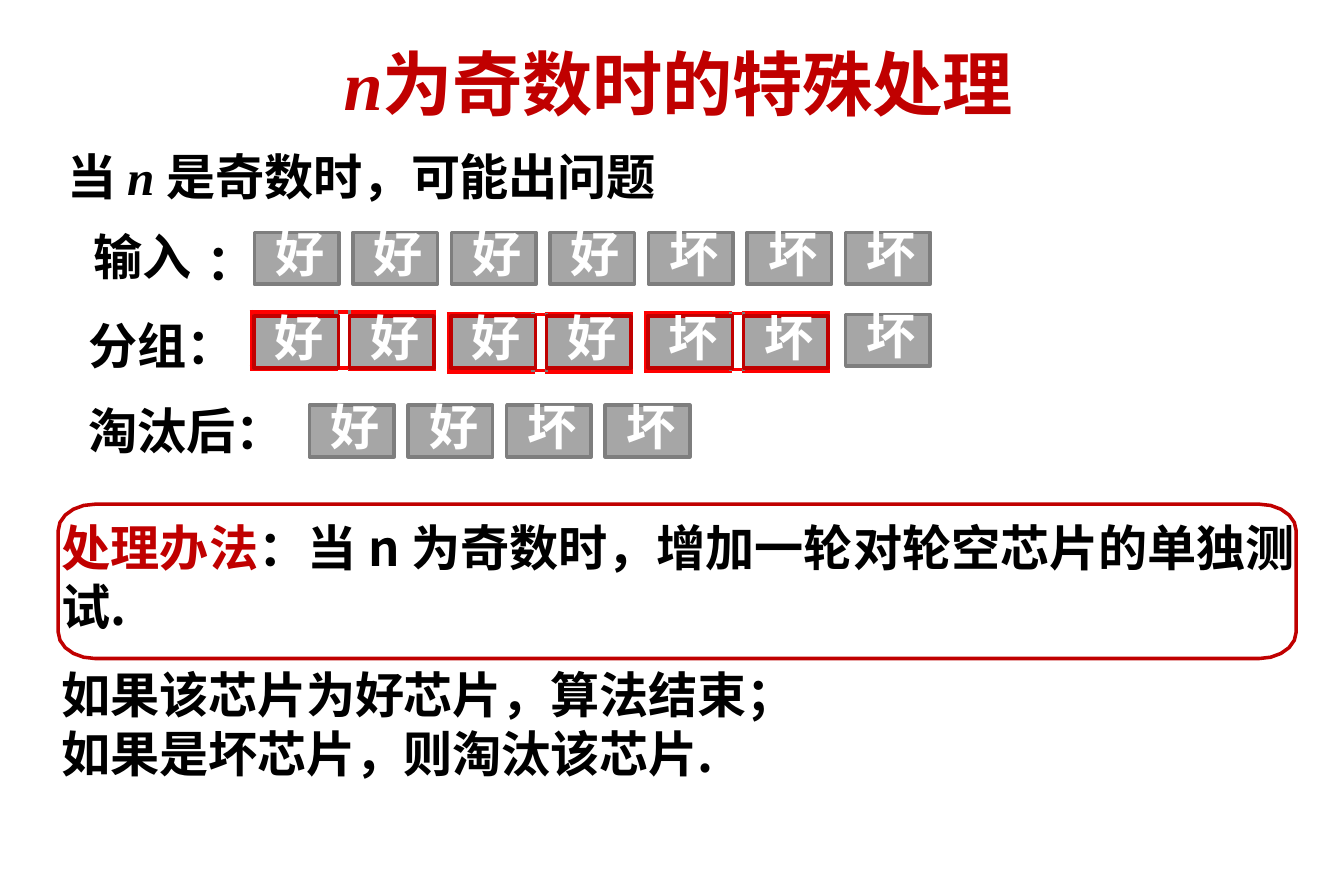
import math
from dataclasses import dataclass

import pptx
import pptx.dml.color
import pptx.enum.shapes
import pptx.enum.text
import pptx.oxml.ns
import pptx.util
from lxml import etree

Cm = pptx.util.Cm
Pt = pptx.util.Pt
Align = pptx.enum.text.PP_ALIGN
Anchor = pptx.enum.text.MSO_ANCHOR


@dataclass(frozen=True)
class Theme:
    accent: str = "C00000"
    ink: str = "000000"
    white: str = "FFFFFF"
    chip: str = "A6A6A6"
    chip_line: str = "7E7E7E"
    pair_line: str = "FF0000"
    chinese: str = "Noto Sans CJK SC"
    heading: str = "Calibri"
    variable: str = "Times New Roman"
    title_size: float = 40
    text_size: float = 28
    outline: float = 2


THEME = Theme()
CHIP_WIDTH, CHIP_HEIGHT, CHIP_PITCH = 1.7, 1.04, 1.98
PAIR_PITCH = 2 * CHIP_PITCH


def color(value):
    return pptx.dml.color.RGBColor.from_string(value)


class ChipSlide:
    def __init__(self, presentation, theme):
        self.theme = theme
        self.slide = presentation.slides.add_slide(presentation.slide_layouts[5])
        self.shapes = self.slide.shapes

    def run(self, paragraph, text, ink=None, font=None, size=None, italic=False):
        run = paragraph.add_run()
        run.text = text
        run.font.name = font or self.theme.chinese
        run.font.size = Pt(size or self.theme.text_size)
        run.font.bold = True
        run.font.italic = italic
        run.font.color.rgb = color(ink or self.theme.ink)
        run.font._element.set("spc", "-10")

    def frame(self, shape, anchor=Anchor.TOP, top_inset=0):
        frame = shape.text_frame
        frame.word_wrap = True
        frame.auto_size = pptx.enum.text.MSO_AUTO_SIZE.SHAPE_TO_FIT_TEXT
        frame.vertical_anchor = anchor
        frame.margin_left = frame.margin_right = frame.margin_bottom = 0
        frame.margin_top = Cm(top_inset)
        return frame

    def format(self, paragraph, indent=0, alignment=Align.LEFT, before=0, line=None):
        properties = paragraph._p.get_or_add_pPr()
        properties.set("marL", str(Cm(indent)))
        properties.set("indent", "0")
        paragraph.alignment = alignment
        paragraph.space_before = Pt(before)
        if line:
            paragraph.line_spacing = Pt(line)

    def title(self, left, top, width, height, runs):
        shape = self.shapes.title
        shape.left, shape.top, shape.width, shape.height = map(Cm, (left, top, width, height))
        paragraph = self.frame(shape, Anchor.MIDDLE, 0.05).paragraphs[0]
        self.format(paragraph, 0.05, Align.CENTER)
        for text, font, italic in runs:
            self.run(paragraph, text, self.theme.accent, font, self.theme.title_size, italic)

    def text(self, left, top, width, height, paragraphs, top_inset=0.05):
        """Each paragraph is a list of run settings and a dict of paragraph settings."""
        shape = self.shapes.add_textbox(*map(Cm, (left, top, width, height)))
        frame = self.frame(shape, top_inset=top_inset)
        for index, (runs, settings) in enumerate(paragraphs):
            paragraph = frame.paragraphs[0] if index == 0 else frame.add_paragraph()
            self.format(paragraph, **settings)
            for run in runs:
                self.run(paragraph, **run)

    def label(self, left, top, width, text):
        self.text(left, top, width, 1.14, [([dict(text=text)], dict(line=32))], 0)

    def chip(self, left, top, text, outline=None):
        shape = self.shapes.add_shape(
            pptx.enum.shapes.MSO_SHAPE.RECTANGLE,
            *map(Cm, (left, top, CHIP_WIDTH, CHIP_HEIGHT)))
        shape.shadow.inherit = False
        shape.fill.solid()
        shape.fill.fore_color.rgb = color(self.theme.chip)
        shape.line.color.rgb = color(outline or self.theme.chip_line)
        shape.line.width = Pt(self.theme.outline)
        paragraph = self.frame(shape).paragraphs[0]
        self.format(paragraph, 0.42, line=28.5)
        self.run(paragraph, text, self.theme.white)

    def border(self, cell, side, ink, width):
        properties = cell._tc.get_or_add_tcPr()
        line = etree.SubElement(properties, pptx.oxml.ns.qn("a:ln" + side), w=str(Pt(width)))
        fill = etree.SubElement(line, pptx.oxml.ns.qn("a:solidFill"))
        etree.SubElement(fill, pptx.oxml.ns.qn("a:srgbClr"), val=ink)

    def pair_frame(self, left, top):
        """Two chip cells joined by a narrow gap, framed in red."""
        widths = (CHIP_WIDTH, 0.27, CHIP_WIDTH)
        table = self.shapes.add_table(
            1, 3, Cm(left), Cm(top), Cm(sum(widths)), Cm(1.12)).table
        table.first_row = table.horz_banding = False
        red, grey = self.theme.pair_line, self.theme.chip_line
        for index, width in enumerate(widths):
            table.columns[index].width = Cm(width)
            cell = table.cell(0, index)
            cell.margin_left = cell.margin_right = cell.margin_top = cell.margin_bottom = 0
            is_gap = index == 1
            self.border(cell, "L", red if index == 0 else grey, 2.25)
            self.border(cell, "R", red if index == 2 else grey, 2.25)
            self.border(cell, "T", red, 2.25 if is_gap else 3)
            self.border(cell, "B", red, 2.25 if is_gap else 4.25)
            if is_gap:
                cell.fill.background()
            else:
                cell.fill.solid()
                cell.fill.fore_color.rgb = color(self.theme.chip)

    def rounded_frame(self, left, top, width, height, radius_x, radius_y, steps=5):
        """Outline whose corners are quarter ellipses drawn in straight steps."""
        corners = ((left + radius_x, top + radius_y),
                   (left + width - radius_x, top + radius_y),
                   (left + width - radius_x, top + height - radius_y),
                   (left + radius_x, top + height - radius_y))
        points = []
        for quarter, (center_x, center_y) in enumerate(corners, start=2):
            for step in range(steps + 1):
                angle = (quarter + step / steps) * math.pi / 2
                points.append((Cm(center_x + radius_x * math.cos(angle)),
                               Cm(center_y + radius_y * math.sin(angle))))
        builder = self.shapes.build_freeform(*points[0])
        builder.add_line_segments(points[1:], close=True)
        shape = builder.convert_to_shape()
        shape.shadow.inherit = False
        shape.fill.background()
        shape.line.color.rgb = color(self.theme.accent)
        shape.line.width = Pt(self.theme.outline)


def main():
    presentation = pptx.Presentation()
    presentation.slide_width, presentation.slide_height = Cm(27), Cm(18)
    page = ChipSlide(presentation, THEME)

    page.title(1.19, 0.71, 24.82, 1.83,
               [("n", THEME.variable, True), ("为奇数时的特殊处理", THEME.heading, False)])
    page.text(1.3, 2.9, 14.91, 1.24, [(
        [dict(text="当 "), dict(text="n ", font=THEME.variable, italic=True),
         dict(text="是奇数时，可能出问题")], dict(indent=0.05))])
    page.text(1.19, 10.36, 24.82, 5.38, [
        ([dict(text="处理办法", ink=THEME.accent),
          dict(text="：当 n 为奇数时，增加一轮对轮空芯片的单独测试.")],
         dict(indent=0.05, alignment=Align.JUSTIFY)),
        ([dict(text="如果该芯片为好芯片，算法结束；")], dict(indent=0.05, before=16.3)),
        ([dict(text="如果是坏芯片，则淘汰该芯片.")], dict(indent=0.05, before=0.2)),
    ], 0.03)
    page.rounded_frame(1.17, 10.13, 24.87, 3.1, 0.74, 0.53)

    page.text(1.83, 4.5, 2.36, 1.24, [([dict(text="输入")], dict(indent=0.05))])
    page.label(4.14, 4.7, 1.14, "：")
    for index, state in enumerate("好好好好坏坏坏"):
        page.chip(5.11 + index * CHIP_PITCH, 4.67, state)

    page.label(1.78, 6.4, 3.4, "分组：")
    for index, (state, top) in enumerate(zip("好好坏", (6.27, 6.32, 6.3))):
        page.pair_frame(5.05 + index * PAIR_PITCH, top)
        for offset in (0, 1.92):
            page.chip(5.1 + index * PAIR_PITCH + offset, 6.35, state, THEME.accent)
    page.chip(16.99, 6.32, "坏")

    page.label(1.78, 8.1, 4.55, "淘汰后：")
    for index, state in enumerate("好好坏坏"):
        page.chip(6.22 + index * CHIP_PITCH, 8.14, state)

    presentation.save("out.pptx")


if __name__ == "__main__":
    main()
